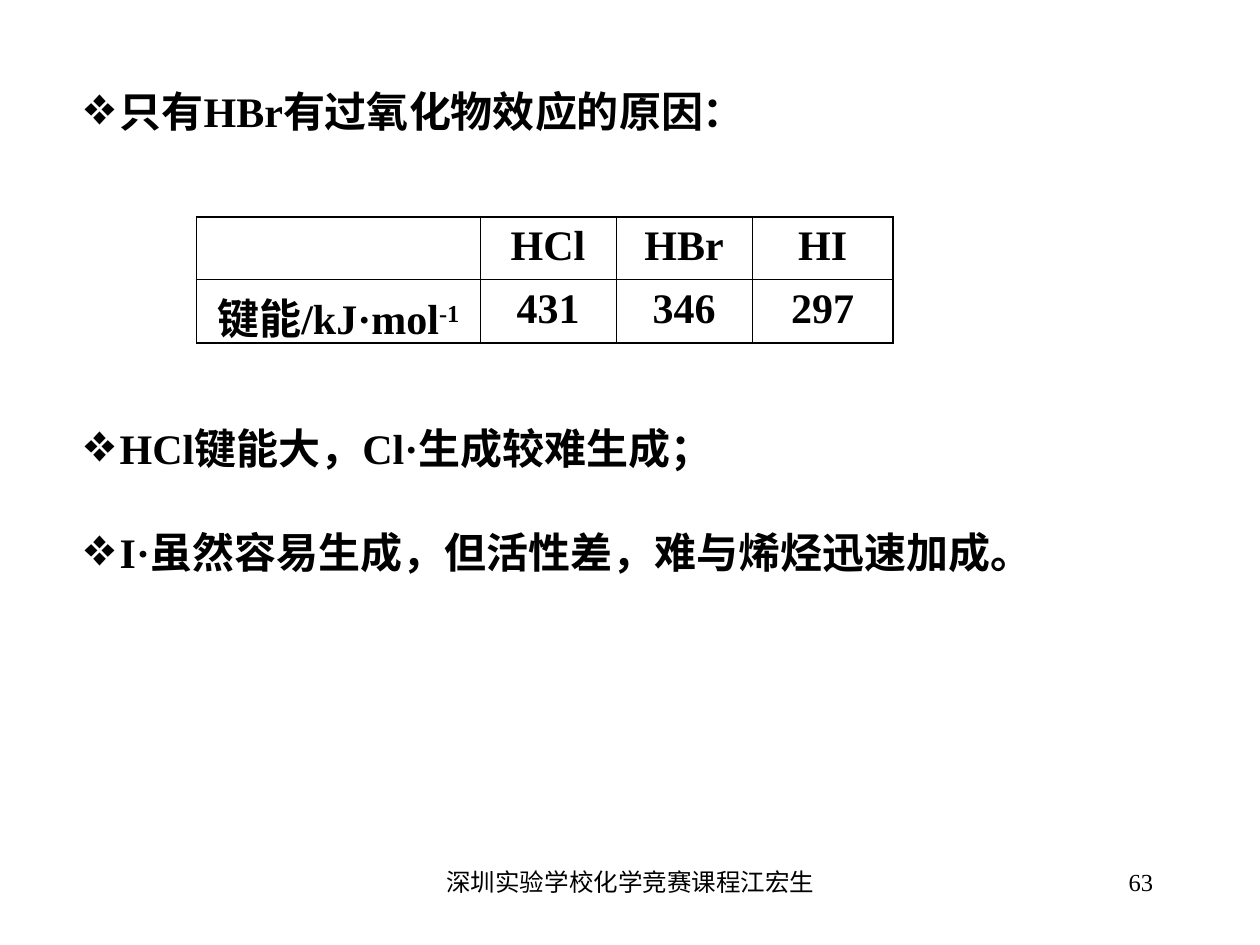
from dataclasses import dataclass

from lxml.etree import SubElement
from pptx import Presentation
from pptx.dml.color import RGBColor
from pptx.enum.text import MSO_ANCHOR, MSO_AUTO_SIZE, PP_ALIGN
from pptx.oxml.ns import qn
from pptx.util import Inches, Pt


@dataclass(frozen=True)
class Theme:
    ink: RGBColor = RGBColor(0, 0, 0)
    latin: str = "Times New Roman"
    cjk: str = "Noto Sans CJK SC"
    body: Pt = Pt(24)
    footer: Pt = Pt(14)
    outer: Pt = Pt(1.08)
    inner: Pt = Pt(0.45)


theme = Theme()


def add_run(p, text, size=theme.body, bold=True, font=theme.latin):
    r = p.add_run()
    r.text = text
    r.font.size, r.font.bold, r.font.name = size, bold, font
    r.font.color.rgb = theme.ink
    SubElement(r.font._element, qn("a:ea"), typeface=theme.cjk)
    return r


def set_border(cell, side, width):
    """Draw one side (L, R, T or B) of a table cell."""
    tcPr = cell._tc.get_or_add_tcPr()
    ln = SubElement(tcPr, qn(f"a:ln{side}"), w=str(int(width)))
    fill = SubElement(ln, qn("a:solidFill"))
    SubElement(fill, qn("a:srgbClr"), val=str(theme.ink))


prs = Presentation()
prs.slide_width, prs.slide_height = Inches(10), Inches(7.5)
s = prs.slides.add_slide(prs.slide_layouts[3])  # title and two bodies

# Bulleted statements: top, width, runs
statements = [
    (0.55, 6.33, [("只有HBr有过氧化物效应的原因：", theme.latin)]),
    (3.22, 5.58, [("HCl键能大，Cl·", theme.latin), ("生成较难生成；", theme.cjk)]),
    (4.05, 8.25, [("I·", theme.latin),
                  ("虽然容易生成，但活性差，难与烯烃迅速加成。", theme.cjk)]),
]
hang = Inches(0.29)
for sp, (top, width, runs) in zip(s.placeholders, statements):
    sp.left, sp.top = Inches(0.56), Inches(top)
    sp.width, sp.height = Inches(width), Inches(0.58)
    tf = sp.text_frame
    tf.word_wrap = True
    tf.auto_size = MSO_AUTO_SIZE.SHAPE_TO_FIT_TEXT
    tf.vertical_anchor = MSO_ANCHOR.MIDDLE
    p = tf.paragraphs[0]
    p.alignment, p.line_spacing, p.space_before = PP_ALIGN.LEFT, 1.2, Pt(0)
    pPr = p._p.get_or_add_pPr()
    pPr.set("marL", str(hang))
    pPr.set("indent", str(-hang))
    color = SubElement(pPr, qn("a:buClr"))
    SubElement(color, qn("a:srgbClr"), val=str(theme.ink))
    SubElement(pPr, qn("a:buFont"), typeface=theme.latin)
    SubElement(pPr, qn("a:buChar"), char="❖")
    for text, font in runs:
        add_run(p, text, font=font)

# Bond energy table
rows = [
    ["", "HCl", "HBr", "HI"],
    ["键能/kJ·mol", "431", "346", "297"],
]
col_widths = [2.25, 1.08, 1.08, 1.12]
n_rows, n_cols = len(rows), len(col_widths)
table = s.shapes.add_table(n_rows, n_cols, Inches(1.56), Inches(1.72),
                           Inches(sum(col_widths)), Inches(1)).table
table.first_row = table.horz_banding = False
for column, width in zip(table.columns, col_widths):
    column.width = Inches(width)
for i, row in enumerate(rows):
    table.rows[i].height = Inches(0.5)
    for j, text in enumerate(row):
        cell = table.cell(i, j)
        edges = {"L": j == 0, "R": j == n_cols - 1,
                 "T": i == 0, "B": i == n_rows - 1}
        for side, is_outer in edges.items():
            set_border(cell, side, theme.outer if is_outer else theme.inner)
        cell.fill.background()
        p = cell.text_frame.paragraphs[0]
        p.alignment = PP_ALIGN.CENTER
        if text:
            add_run(p, text)
exponent = add_run(table.cell(1, 0).text_frame.paragraphs[0], "-1")
exponent.font._element.set("baseline", "30000")

# Footer and slide number
for left, width, align, text in [
    (7.17, 2.08, PP_ALIGN.RIGHT, "63"),
    (3.42, 3.17, PP_ALIGN.CENTER, "深圳实验学校化学竞赛课程江宏生"),
]:
    tf = s.shapes.add_textbox(Inches(left), Inches(6.83),
                              Inches(width), Inches(0.5)).text_frame
    tf.word_wrap = True
    p = tf.paragraphs[0]
    p.alignment = align
    add_run(p, text, theme.footer, bold=False)

prs.save("out.pptx")
